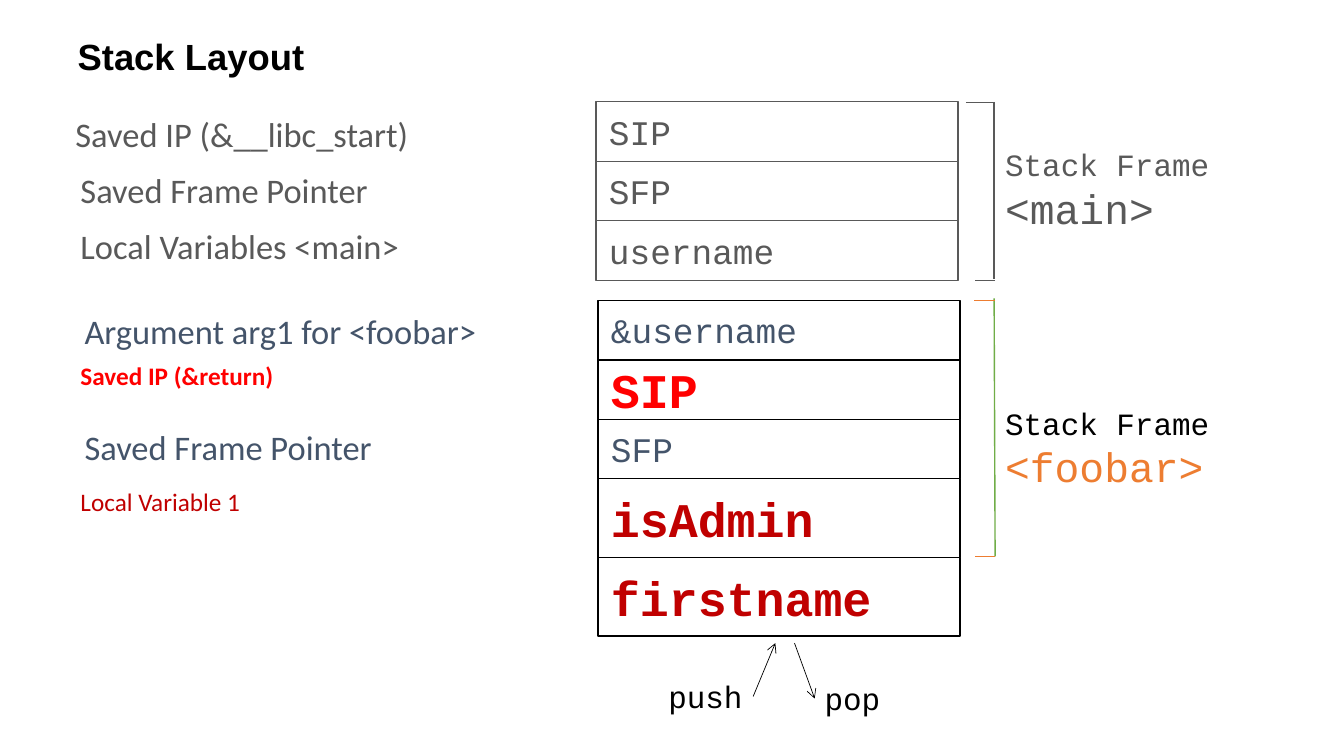
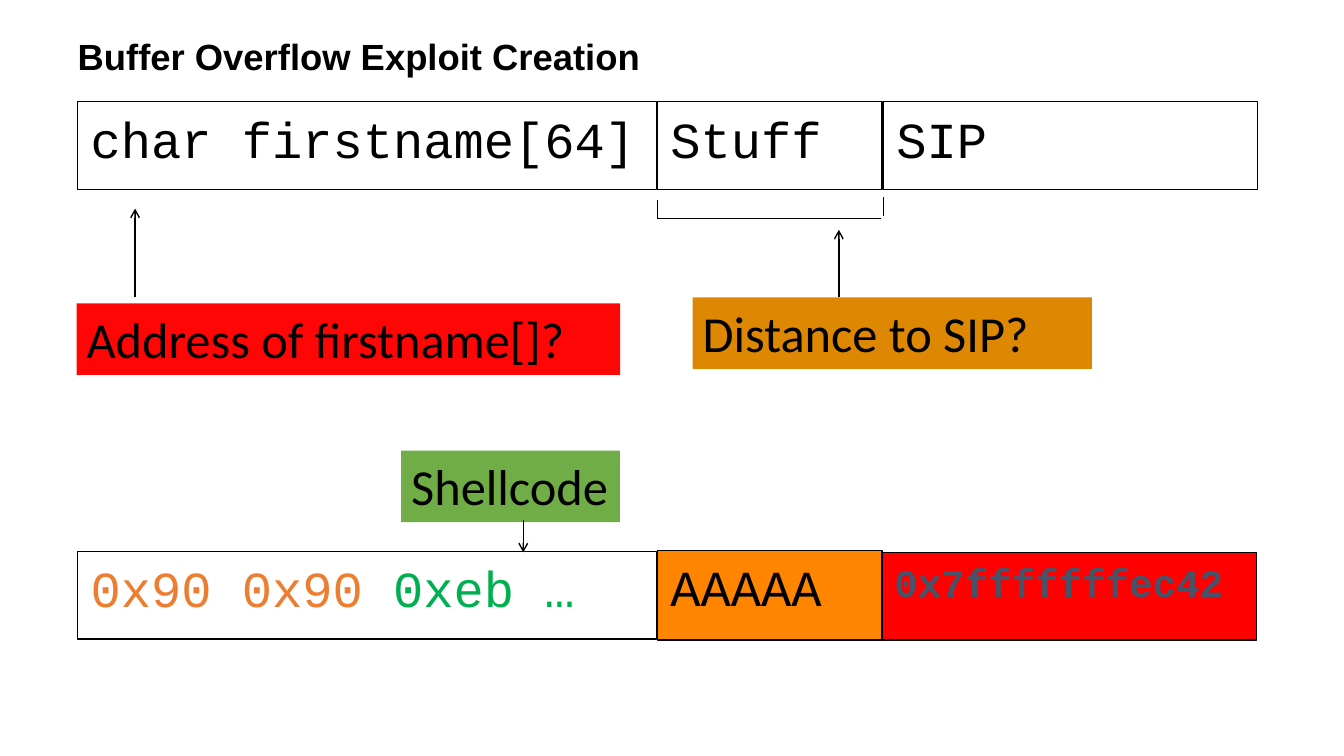
from dataclasses import dataclass

from lxml import etree
from pptx import Presentation
from pptx.dml.color import RGBColor
from pptx.enum import shapes, text
from pptx.oxml import ns
from pptx.util import Inches, Pt


@dataclass(frozen=True)
class Theme:
    black: str = "000000"
    white: str = "FFFFFF"
    gray: str = "595959"
    slate: str = "44546A"
    red: str = "FF0000"
    dark: str = "C00000"
    orange: str = "ED7D31"
    green: str = "70AD47"
    lime: str = "00B050"
    amber: str = "FF8400"
    ochre: str = "DE8703"
    coral: str = "FF0606"
    head: str = "Arial"
    body: str = "Calibri"
    code: str = "Courier New"
    title: float = 26
    note: float = 18
    small: float = 22.1
    base: float = 24.6
    mid: float = 28
    frame: float = 29.5
    big: float = 34.5
    huge: float = 36


T = Theme()


def put(page, box, lines, font, fill=None, edge=None, bold=False, mid=False):
    area = [Inches(n) for n in box]
    if fill:
        shape = page.shapes.add_shape(shapes.MSO_SHAPE.RECTANGLE, *area)
        shape.shadow.inherit = False
        shape.fill.solid()
        shape.fill.fore_color.rgb = RGBColor.from_string(fill)
        if edge:
            shape.line.color.rgb = RGBColor.from_string(edge)
            shape.line.width = Pt(1)
        else:
            shape.line.fill.background()
    else:
        shape = page.shapes.add_textbox(*area)
    frame = shape.text_frame
    frame.word_wrap = True
    frame.vertical_anchor = text.MSO_ANCHOR.MIDDLE if mid else text.MSO_ANCHOR.TOP
    frame.margin_left = Inches(0.13 if edge else 0.1)
    frame.margin_right = 0
    frame.margin_top = frame.margin_bottom = Inches(0.06 if edge else 0.05)
    for i, line in enumerate(lines):
        para = frame.add_paragraph() if i else frame.paragraphs[0]
        para.alignment = text.PP_ALIGN.LEFT
        for words, size, ink in line:
            run = para.add_run()
            run.text = words
            run.font.name = font
            run.font.size = Pt(size)
            run.font.bold = bold
            run.font.color.rgb = RGBColor.from_string(ink)


def link(page, ends, ink, width=1, arrow=False):
    line = page.shapes.add_connector(
        shapes.MSO_CONNECTOR.STRAIGHT, *[Inches(n) for n in ends])
    line.line.color.rgb = RGBColor.from_string(ink)
    line.line.width = Pt(width)
    if arrow:
        etree.SubElement(line.line._get_or_add_ln(), ns.qn("a:tailEnd"), type="arrow")
    etree.SubElement(line._element.spPr, ns.qn("a:effectLst"))


deck = Presentation()
deck.slide_width = Inches(13.33)
deck.slide_height = Inches(7.5)

pages = []
for words in ("Stack Layout", "Buffer Overflow Exploit Creation"):
    page = deck.slides.add_slide(deck.slide_layouts[5])
    title = page.shapes.title
    title.left, title.top = Inches(0.77), Inches(0.32)
    title.width, title.height = Inches(12.14), Inches(0.52)
    frame = title.text_frame
    frame.word_wrap = True
    frame.auto_size = text.MSO_AUTO_SIZE.NONE
    frame.vertical_anchor = text.MSO_ANCHOR.MIDDLE
    frame.margin_left = frame.margin_right = 0
    para = frame.paragraphs[0]
    para.alignment = text.PP_ALIGN.LEFT
    para.line_spacing = 0.9
    run = para.add_run()
    run.text = words
    run.font.name = T.head
    run.font.size = Pt(T.title)
    run.font.bold = True
    run.font.color.rgb = RGBColor.from_string(T.black)
    pages.append(page)

stack, exploit = pages

mains = [("SIP", 0.59, T.base, T.gray, False),
         ("SFP", 0.59, T.base, T.gray, False),
         ("username", 0.59, T.base, T.gray, False)]
calls = [("&username", 0.59, T.base, T.slate, False),
         ("SIP", 0.59, T.big, T.red, True),
         ("SFP", 0.59, T.base, T.slate, False),
         ("isAdmin", 0.78, T.big, T.dark, True),
         ("firstname", 0.78, T.big, T.dark, True)]
for left, top, edge, cells in ((5.91, 1.01, T.gray, mains),
                               (5.93, 2.98, T.black, calls)):
    for words, high, size, ink, bold in cells:
        put(stack, (left, top, 3.59, high), [[(words, size, ink)]],
            T.code, T.white, edge, bold, True)
        top += high

for words, left, top, size, ink, bold in (
        ("Saved IP (&__libc_start)", 0.65, 1.07, T.base, T.gray, False),
        ("Saved Frame Pointer", 0.7, 1.63, T.base, T.gray, False),
        ("Local Variables <main>", 0.7, 2.18, T.base, T.gray, False),
        ("Argument arg1 for <foobar>", 0.74, 3.03, T.base, T.slate, False),
        ("Saved IP (&return)", 0.7, 3.53, T.note, T.red, True),
        ("Saved Frame Pointer", 0.74, 4.18, T.base, T.slate, False),
        ("Local Variable 1", 0.7, 4.78, T.note, T.dark, False)):
    put(stack, (left, top, 4.5, 0.52), [[(words, size, ink)]], T.body, bold=bold)

for name, top, ink, tint in (("<main>", 1.4, T.gray, T.gray),
                             ("<foobar>", 3.96, T.black, T.orange)):
    put(stack, (9.87, top, 2.25, 0.97),
        [[("Stack Frame", T.small, ink)], [(name, T.frame, tint)]], T.code)

for ends, ink in (((9.86, 1.01, 9.86, 2.77), T.gray),
                  ((9.58, 1.02, 9.87, 1.02), T.gray),
                  ((9.87, 2.78, 9.67, 2.78), T.gray),
                  ((9.86, 2.96, 9.87, 5.52), T.green),
                  ((9.87, 2.98, 9.66, 2.98), T.orange),
                  ((9.87, 5.52, 9.67, 5.52), T.orange)):
    link(stack, ends, ink)

for words, box, ends in (
        ("push", (6.53, 6.67, 0.95, 0.47), (7.47, 6.91, 7.69, 6.38)),
        ("pop", (8.08, 6.69, 0.76, 0.47), (7.88, 6.38, 8.08, 6.93))):
    put(stack, box, [[(words, T.small, T.black)]], T.code)
    link(stack, ends, T.black, 0.5, True)

for box, runs, fill, bold in (
        ((0.77, 1.01, 5.74, 0.87), [("char firstname[64]", T.huge, T.black)], T.white, False),
        ((8.76, 1.01, 3.71, 0.87), [("SIP", T.huge, T.black)], T.white, False),
        ((6.52, 1.01, 2.23, 0.87), [("Stuff", T.huge, T.black)], T.white, False),
        ((0.77, 5.47, 5.74, 0.87),
         [("0x90 0x90 ", T.huge, T.orange), ("0xeb …", T.huge, T.lime)], T.white, False),
        ((8.74, 5.48, 3.72, 0.87), [("0x7fffffffec42", T.mid, T.slate)], T.red, True),
        ((6.52, 5.46, 2.23, 0.89), [("AAAAA", T.huge, T.black)], T.amber, False)):
    put(exploit, box, [runs], T.code, fill, T.black, bold)

for words, box, fill in (
        ("Distance to SIP?", (6.87, 2.95, 3.96, 0.71), T.ochre),
        ("Address of firstname[]?", (0.76, 3.01, 5.39, 0.71), T.coral),
        ("Shellcode", (3.98, 4.47, 2.17, 0.71), T.green)):
    put(exploit, box, [[(words, T.huge, T.black)]], T.body, fill)

for ends, arrow in (((1.34, 2.95, 1.34, 2.07), True),
                    ((8.32, 2.95, 8.32, 2.28), True),
                    ((5.19, 5.16, 5.19, 5.48), True),
                    ((6.52, 2.17, 8.74, 2.17), False),
                    ((6.52, 2.17, 6.52, 1.98), False),
                    ((8.76, 2.14, 8.76, 1.95), False)):
    link(exploit, ends, T.black, arrow=arrow)

deck.save("out.pptx")
